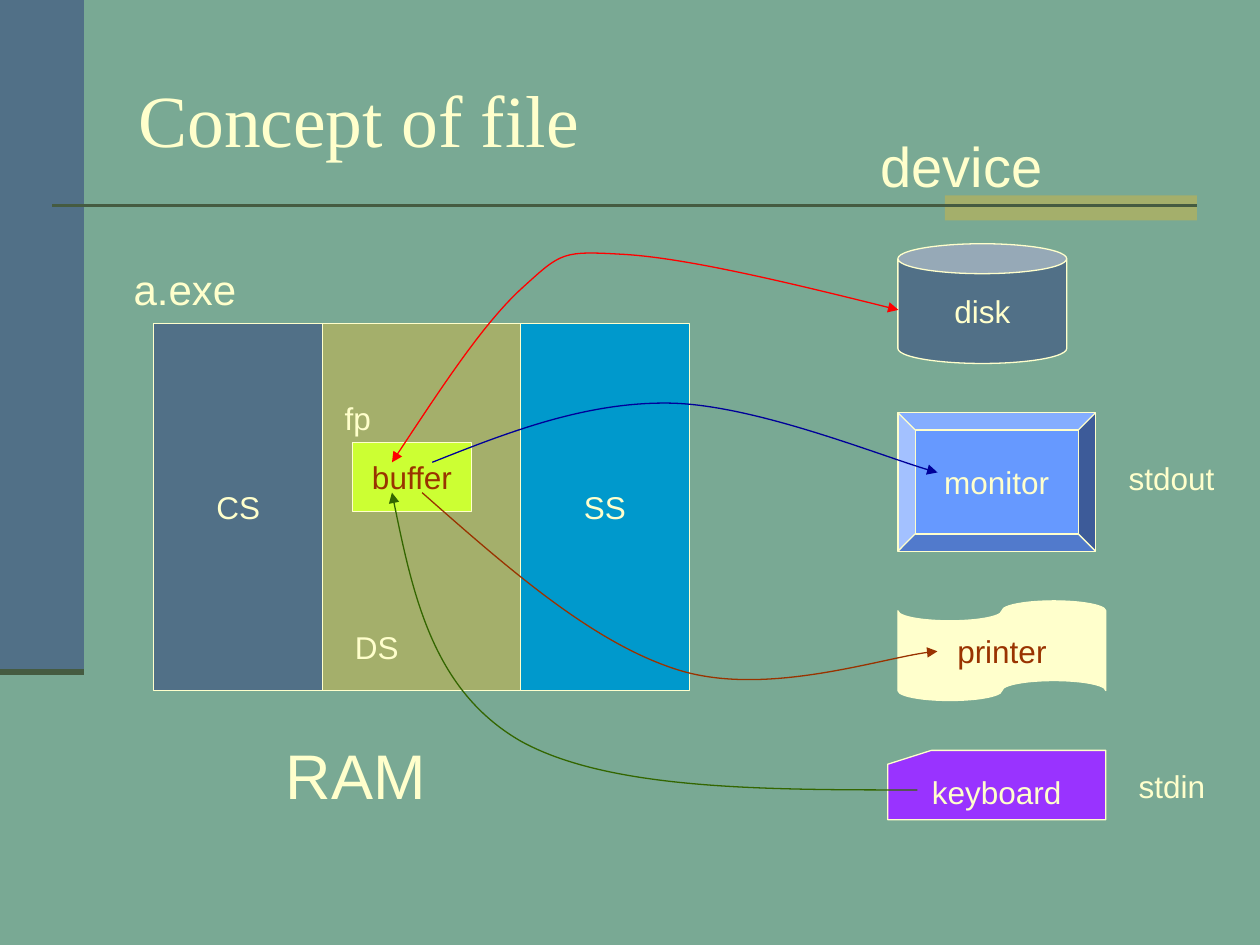
from itertools import accumulate

from lxml import etree
from pptx import Presentation
from pptx import util as u
from pptx.dml.color import RGBColor
from pptx.enum import shapes, text
from pptx.oxml import ns

Pt = u.Pt
KINDS = shapes.MSO_SHAPE

GREEN_BACKGROUND = RGBColor(0x79, 0xA9, 0x94)
SLATE = RGBColor(0x51, 0x70, 0x87)
OLIVE = RGBColor(0xA4, 0xAF, 0x6B)
DARK_GREEN = RGBColor(0x45, 0x5B, 0x41)
CREAM = RGBColor(0xFF, 0xFF, 0xCC)
CYAN = RGBColor(0x00, 0x99, 0xCC)
LIME = RGBColor(0xCC, 0xFF, 0x33)
BROWN = RGBColor(0x99, 0x33, 0x00)
SKY = RGBColor(0x66, 0x99, 0xFF)
VIOLET = RGBColor(0x99, 0x33, 0xFF)
RED = RGBColor(0xFF, 0x00, 0x00)
NAVY = RGBColor(0x00, 0x00, 0x99)
FOREST = RGBColor(0x33, 0x66, 0x00)

SHAPE_FRAME = {"word_wrap": False, "vertical_anchor": text.MSO_ANCHOR.MIDDLE}
LABEL_FRAME = {"word_wrap": False, "vertical_anchor": text.MSO_ANCHOR.TOP,
               "auto_size": text.MSO_AUTO_SIZE.SHAPE_TO_FIT_TEXT}
TITLE_FRAME = {"word_wrap": True, "vertical_anchor": text.MSO_ANCHOR.MIDDLE}


def set_attributes(target, values):
    for name, value in values.items():
        setattr(target, name, value)


def write(shape, words, frame, alignment, size=18, color=CREAM, font="Arial"):
    set_attributes(shape.text_frame, frame)
    paragraph = shape.text_frame.paragraphs[0]
    paragraph.alignment = alignment
    run = paragraph.add_run()
    run.text = words
    set_attributes(run.font, {"size": Pt(size), "name": font})
    run.font.color.rgb = color


def place_shape(slide, kind, box, fill, words="", color=CREAM, outlined=True):
    shape = slide.shapes.add_shape(kind, *map(Pt, box))
    shape.shadow.inherit = False
    shape.fill.solid()
    shape.fill.fore_color.rgb = fill
    if outlined:
        shape.line.color.rgb = CREAM
        shape.line.width = Pt(0.75)
    else:
        shape.line.fill.background()
    if words:
        write(shape, words, SHAPE_FRAME, text.PP_ALIGN.CENTER, color=color)


def place_label(slide, box, words, size=18, frame=LABEL_FRAME, font="Arial"):
    shape = slide.shapes.add_textbox(*map(Pt, box))
    write(shape, words, frame, text.PP_ALIGN.LEFT, size, font=font)


def place_rule(slide, left, right, y, width):
    line = slide.shapes.add_connector(
        shapes.MSO_CONNECTOR.STRAIGHT, Pt(left), Pt(y), Pt(right), Pt(y))
    line.line.color.rgb = DARK_GREEN
    line.line.width = Pt(width)
    etree.SubElement(line._element.spPr, ns.qn("a:effectLst"))


def place_curve(slide, points, color, arrowheads):
    start, *rest = [(Pt(x), Pt(y)) for x, y in points]
    builder = slide.shapes.build_freeform(*start)
    builder.add_line_segments(rest, close=False)
    curve = builder.convert_to_shape()
    curve.shadow.inherit = False
    curve.fill.background()
    curve.line.color.rgb = color
    curve.line.width = Pt(0.75)

    segments = list(curve._element.iter(ns.qn("a:lnTo")))
    for index in range(0, len(segments), 3):
        bezier = etree.SubElement(segments[index].getparent(), ns.qn("a:cubicBezTo"))
        for segment in segments[index:index + 3]:
            bezier.append(segment[0])
            segment.getparent().remove(segment)

    outline = curve.line._get_or_add_ln()
    for end in arrowheads:
        etree.SubElement(outline, ns.qn(f"a:{end}"), type="triangle")


def draw_backdrop(slide, box):
    left, top, width, height = box
    slide.background.fill.solid()
    slide.background.fill.fore_color.rgb = GREEN_BACKGROUND
    place_shape(slide, KINDS.RECTANGLE, (left, top, 48, 384), SLATE, outlined=False)
    place_shape(slide, KINDS.RECTANGLE, (left + width - 180, top + 111.6, 144, 14.4),
                OLIVE, outlined=False)
    place_rule(slide, left + 30, left + width - 36, top + 117.6, 1.5)
    place_rule(slide, left, left + 48, top + 384, 3.5)


def draw_title(slide, box):
    place_label(slide, box, "Concept of file", 42, TITLE_FRAME, "Times New Roman")


def draw_memory(slide, box):
    left, top, width, height = box
    side = 96.5
    widths = [side, width - 2 * side, side]
    lefts = accumulate(widths[:-1], initial=left)
    segments = [(SLATE, "CS"), (OLIVE, ""), (CYAN, "SS")]
    for x, segment_width, (fill, words) in zip(lefts, widths, segments):
        place_shape(slide, KINDS.RECTANGLE, (x, top, segment_width, height), fill, words)
    place_shape(slide, KINDS.RECTANGLE, (left + 113.7, top + 67.9, 67.7, 39.6),
                LIME, "buffer", BROWN)
    labels = [
        ("DS", 107.9, 170.4, 42, 28.8, 18),
        ("fp", 102, 39.6, 32, 28.8, 18),
        ("a.exe", -18.6, -38.1, 77, 36, 24),
        ("RAM", 68.3, 232.6, 97, 50.4, 36),
    ]
    for words, x, y, label_width, label_height, size in labels:
        place_label(slide, (left + x, top + y, label_width, label_height), words, size)


def draw_devices(slide, box):
    left, top, width, height = box
    devices = [
        (KINDS.CAN, 5.8, 68, 96.5, 68.4, SLATE, "disk", CREAM),
        (KINDS.BEVEL, 5.8, 164.5, 113, 79.2, SKY, "monitor", CREAM),
        (KINDS.FLOWCHART_PUNCHED_TAPE, 5.8, 272.1, 118.8, 56.9, CREAM, "printer", BROWN),
        (KINDS.FLOWCHART_CARD, 0, height - 39.6, 124.6, 39.6, VIOLET, "keyboard", CREAM),
    ]
    for kind, x, y, device_width, device_height, fill, words, color in devices:
        place_shape(slide, kind, (left + x, top + y, device_width, device_height),
                    fill, words, color)
    labels = [
        ("device", -11.3, 0.3, 111, 46.1, 32),
        ("stdout", 130.6, 187.2, 66, 28.8, 18),
        ("stdin", 136.3, 363.2, 56, 28.8, 18),
    ]
    for words, x, y, label_width, label_height, size in labels:
        place_label(slide, (left + x, top + y, label_width, label_height), words, size)


def draw_data_flows(slide, box):
    left, top, width, height = box
    flows = [
        (RED, ["headEnd", "tailEnd"], [
            (0, 121.2), (26.6, 81), (52.5, 41.3), (74.8, 21.2), (97.1, 1),
            (97.1, 0.3), (133.1, 2.4), (168.4, 4.6), (228.9, 19), (289.4, 34.1)]),
        (NAVY, ["tailEnd"], [
            (23, 121.2), (66.2, 104), (110.8, 86.7), (158.3, 87.4),
            (206.6, 88.1), (286.5, 120.5), (width, 127)]),
        (BROWN, ["tailEnd"], [
            (17.2, 138.5), (66.2, 181.7), (115.1, 224.9), (164.1, 240),
            (213.8, 255.2), (286.5, 230.7), (width, 229.2)]),
        (FOREST, ["headEnd"], [
            (0, 138.5), (11.4, 194.7), (23.7, 251.6), (73.4, 280.4),
            (123.8, height), (212.3, height), (300.2, height)]),
    ]
    for color, arrowheads, points in flows:
        place_curve(slide, [(left + x, top + y) for x, y in points], color, arrowheads)


def main():
    presentation = Presentation()
    set_attributes(presentation, {"slide_width": Pt(720), "slide_height": Pt(540)})
    slide = presentation.slides.add_slide(presentation.slide_layouts[6])
    draw_backdrop(slide, (0, 0, 720, 540))
    draw_title(slide, (72, 22.2, 612, 90))
    draw_memory(slide, (87.9, 185, 306, 209.5))
    draw_devices(slide, (507.3, 71.3, 196.6, 397.1))
    draw_data_flows(slide, (224, 143, 311.7, 308.4))
    presentation.save("out.pptx")


if __name__ == "__main__":
    main()
